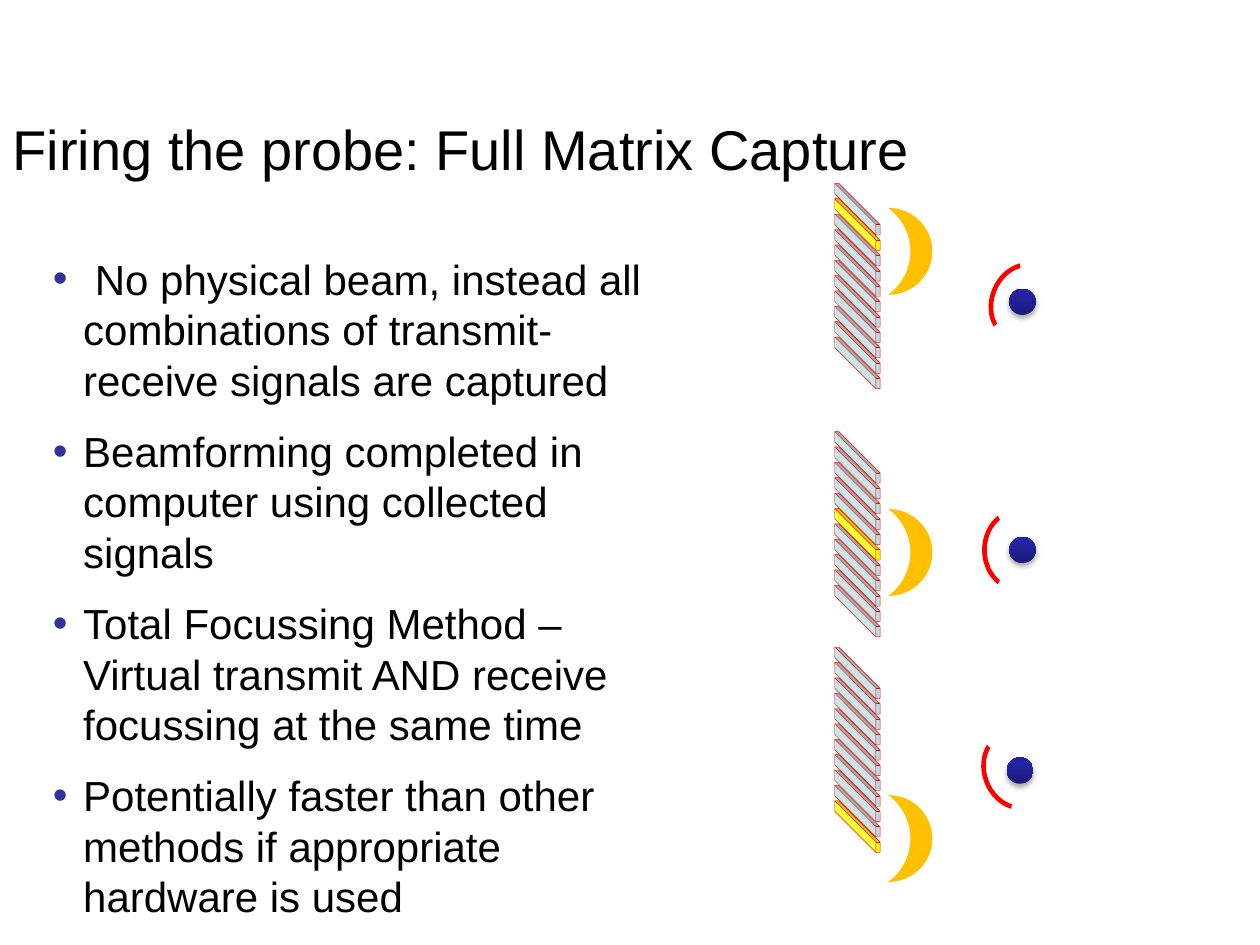
from pptx import Presentation, util as u
from pptx.dml.color import RGBColor
from pptx.enum import shapes, text
from pptx.oxml import parse_xml
from pptx.oxml.ns import nsdecls

HUES = {
    "ink": "000000", "bullet": "333399", "cell": "BBE0E3", "fired": "FFFF00",
    "edge": "FF0000", "wave": "FFC000", "echo": "FF0000",
    "low": "1B1B7E", "mid": "2323A3", "high": "2020A6",
}
COLS, ROWS = 10, 7.5
KIND = shapes.MSO_SHAPE
NS = nsdecls("a")


class Deck:
    font = "Arial"

    def __init__(self):
        self.prs = Presentation()
        self.prs.slide_width = u.Inches(10)
        self.prs.slide_height = u.Inches(7.5)
        self.slide = self.prs.slides.add_slide(self.prs.slide_layouts[1])

    def box(self, x, y, w, h):
        """Turn grid columns and rows into slide lengths."""
        col, row = self.prs.slide_width / COLS, self.prs.slide_height / ROWS
        return [round(v) for v in (x * col, y * row, w * col, h * row)]

    def hold(self, item, spot, anchor):
        """Move a placeholder and return its text frame."""
        item.left, item.top, item.width, item.height = self.box(*spot)
        frame = item.text_frame
        frame.word_wrap = True
        frame.auto_size = text.MSO_AUTO_SIZE.NONE
        frame.vertical_anchor = anchor
        return frame

    def run(self, para, words, size):
        run = para.add_run()
        run.text = words
        run.font.name, run.font.size = self.font, u.Pt(size)
        run.font.color.rgb = RGBColor.from_string(HUES["ink"])

    def title(self, words, spot):
        frame = self.hold(self.slide.shapes.title, spot, text.MSO_ANCHOR.MIDDLE)
        para = frame.paragraphs[0]
        para.alignment = text.PP_ALIGN.LEFT
        self.run(para, words, 32)

    def list(self, lines, spot):
        frame = self.hold(self.slide.placeholders[1], spot, text.MSO_ANCHOR.TOP)
        for i, words in enumerate(lines):
            para = frame.add_paragraph() if i else frame.paragraphs[0]
            props = para._p.get_or_add_pPr()
            props.set("marL", str(u.Inches(0.24)))
            props.set("indent", str(-u.Inches(0.24)))
            para.space_before = u.Pt(12 if i else 0)
            para.line_spacing = 1.0
            for xml in (
                f'<a:buClr {NS}><a:srgbClr val="{HUES["bullet"]}"/></a:buClr>',
                f'<a:buFont {NS} typeface="{self.font}"/>',
                f'<a:buChar {NS} char="•"/>',
            ):
                props.append(parse_xml(xml))
            self.run(para, words, 24)

    def shape(self, kind, spot, turn, hue=None, edge=None, adj=()):
        item = self.slide.shapes.add_shape(kind, *self.box(*spot))
        item.rotation = turn
        item.shadow.inherit = False
        for i, value in enumerate(adj):
            item.adjustments[i] = value
        if hue:
            item.fill.solid()
            item.fill.fore_color.rgb = RGBColor.from_string(HUES[hue])
        if edge:
            item.line.color.rgb = RGBColor.from_string(HUES[edge])
            item.line.width = u.Pt(0.25)
        else:
            item.line.fill.background()
        return item

    def probe(self, top, fired):
        """Stack eleven elements from the bottom up; one of them fires."""
        for i in reversed(range(11)):
            self.shape(KIND.CUBE, (6.6, top + i * 1.22 / 10, 0.41, 0.36), 270,
                       "fired" if i == fired else "cell", "edge", [0.91])

    def wave(self, top):
        self.shape(KIND.MOON, (7.05, top, 0.35, 0.69), 180, "wave")

    def echo(self, x, y, turn):
        self.shape(KIND.BLOCK_ARC, (x, y, 0.64, 0.53), turn, "echo",
                   adj=[124.29, 199.73, 0.07])

    def target(self, x, y):
        item = self.shape(KIND.FLOWCHART_CONNECTOR, (x, y, 0.21, 0.21), 270)
        item.fill.gradient()
        item.fill.gradient_angle = 0
        stops = item._element.spPr.find(".//{*}gsLst")
        for stop in list(stops):
            stops.remove(stop)
        for at, hue in ((0, "low"), (80, "mid"), (100, "high")):
            stops.append(parse_xml(
                f'<a:gs {NS} pos="{at * 1000}"><a:srgbClr val="{HUES[hue]}"/></a:gs>'))
        item._element.spPr.find("{*}effectLst").append(parse_xml(
            f'<a:outerShdw {NS} blurRad="{u.Pt(3.1)}" dist="{u.Pt(1.8)}" '
            f'dir="5400000" rotWithShape="0"><a:srgbClr val="{HUES["ink"]}">'
            '<a:alpha val="35000"/></a:srgbClr></a:outerShdw>'))


def main():
    deck = Deck()

    # Title and list
    deck.title("Firing the probe: Full Matrix Capture", (0, 0.55, 8.28, 1.25))
    deck.list([
        " No physical beam, instead all combinations of transmit-receive signals are captured",
        "Beamforming completed in computer using collected signals",
        "Total Focussing Method – Virtual transmit AND receive focussing at the same time",
        "Potentially faster than other methods if appropriate hardware is used",
    ], (0.32, 1.96, 5.06, 5.15))

    # Firings: probe top, fired element, wave top, target, echo
    for top, fired, wave, target, echo in (
        (5.16, 10, 6.31, (7.99, 6.01), (7.74, 5.85, 249.1)),
        (3.45, 5, 4.04, (8.01, 4.26), (7.74, 4.1, 270)),
        (1.48, 1, 1.65, (8.01, 2.29), (7.8, 2.13, 292.6)),
    ):
        deck.probe(top, fired)
        deck.target(*target)
        deck.wave(wave)
        deck.echo(*echo)

    deck.prs.save("out.pptx")


if __name__ == "__main__":
    main()
